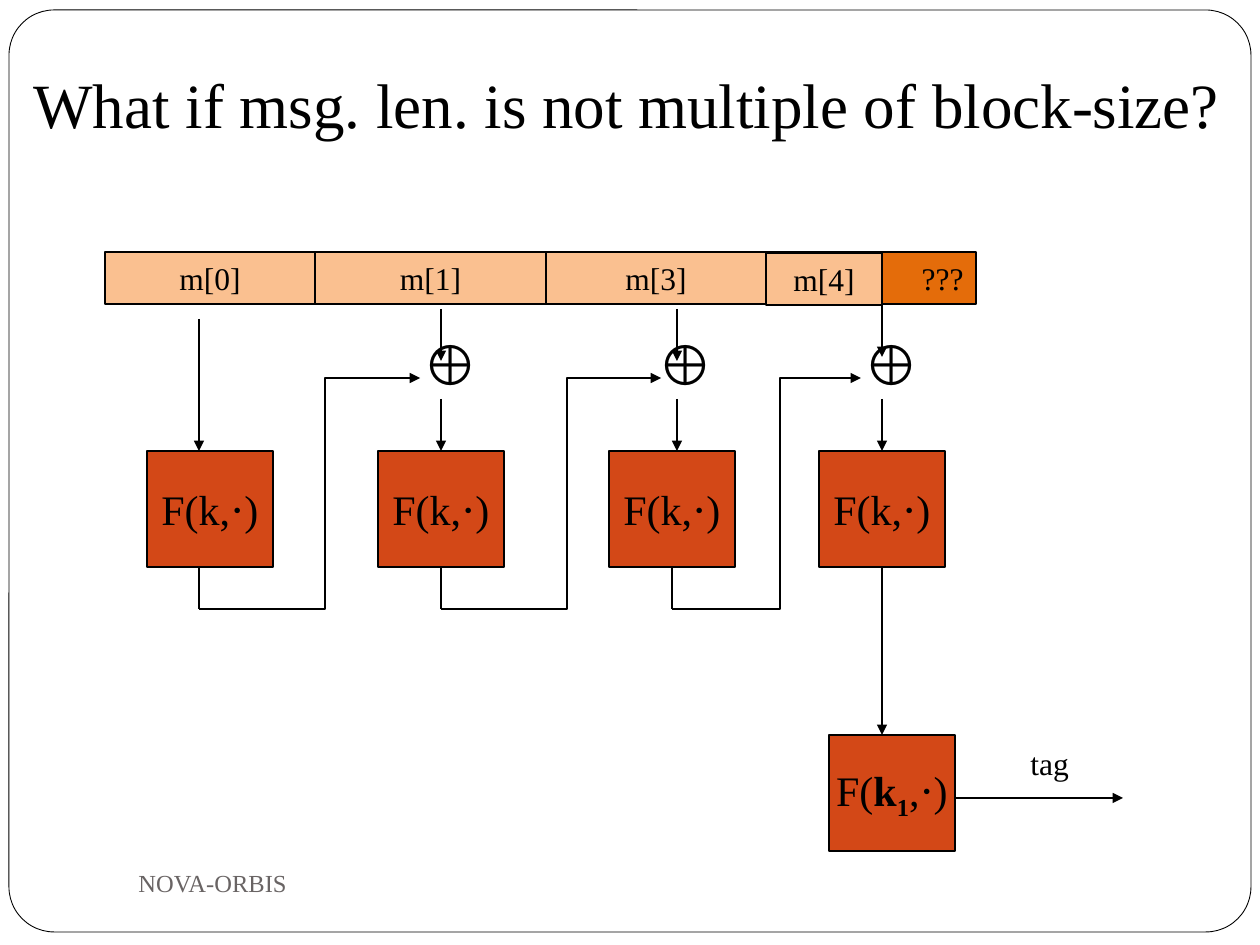
"""Build the slide on chained block encryption with a partial last block."""
from lxml import etree
from pptx import Presentation
from pptx import util as u
from pptx.dml.color import RGBColor
from pptx.enum import shapes, text
from pptx.oxml.ns import qn

PX = 914400 / 126
C = {"ink": "000000", "paper": "FFFFFF", "cipher": "D34817",
     "block": "FAC090", "pad": "E46C0A", "footer": "696464"}
LEFT, CENTER, RIGHT = text.PP_ALIGN.LEFT, text.PP_ALIGN.CENTER, text.PP_ALIGN.RIGHT
TOP, MIDDLE = text.MSO_ANCHOR.TOP, text.MSO_ANCHOR.MIDDLE


def write(sp, parts, size, align=LEFT, anchor=TOP, color="ink", wrap=False):
    tf = sp.text_frame
    tf.word_wrap = wrap
    tf.auto_size = text.MSO_AUTO_SIZE.NONE
    tf.vertical_anchor = anchor
    p = tf.paragraphs[0]
    p.alignment = align
    for part in parts:
        r = p.add_run()
        r.text = part
        r.font.name = "Times New Roman"
        r.font.size = u.Pt(size)
        r.font.color.rgb = RGBColor.from_string(C[color])
    return p.runs


def stroke(sp, width=0.75, arrow=False):
    sp.line.color.rgb = RGBColor.from_string(C["ink"])
    sp.line.width = u.Pt(width)
    pr = sp._element.spPr
    if arrow:
        etree.SubElement(pr.find(qn("a:ln")), qn("a:tailEnd"), type="triangle")
    if pr.find(qn("a:effectLst")) is None:
        etree.SubElement(pr, qn("a:effectLst"))


prs = Presentation()
prs.slide_width, prs.slide_height = u.Inches(10), u.Inches(7.5)
s = prs.slides.add_slide(prs.slide_layouts[5])

frame = s.shapes.add_shape(shapes.MSO_SHAPE.ROUNDED_RECTANGLE,
                           *[round(v * PX) for v in (9, 10, 1242, 922)])
frame.adjustments[0] = 0.049
frame.fill.solid()
frame.fill.fore_color.rgb = RGBColor.from_string(C["paper"])
stroke(frame, 0.5)
s.shapes._spTree.insert(2, frame._element)

title = s.shapes.title
title.left, title.top, title.width, title.height = [
    round(v * PX) for v in (21, -4, 1229, 158)]
write(title, ["What if msg. len. is not multiple of block-size?"], 36,
      anchor=text.MSO_ANCHOR.BOTTOM, wrap=True)
title.text_frame.margin_bottom = u.Inches(0.1)

boxes = [
    (105, 252, 210, 52, "block", ["m[0]"], 18, CENTER),
    (315, 252, 231, 52, "block", ["m[1]"], 18, CENTER),
    (546, 252, 220, 52, "block", ["m[3]"], 18, CENTER),
    (766, 252, 210, 52, "pad", ["???"], 18, RIGHT),
    (766, 253, 116, 52, "block", ["m[4]"], 18, CENTER),
    (829, 735, 126, 116, "cipher", ["F(", "k", "1", ",⋅)"], 24, CENTER),
]
boxes += [(x, 451, 126, 116, "cipher", ["F(k,⋅)"], 24, CENTER)
          for x in (147, 378, 609, 819)]
for x, y, w, h, fill, parts, size, align in boxes:
    sp = s.shapes.add_shape(shapes.MSO_SHAPE.RECTANGLE,
                            *[round(v * PX) for v in (x, y, w, h)])
    sp.fill.solid()
    sp.fill.fore_color.rgb = RGBColor.from_string(C[fill])
    stroke(sp)
    runs = write(sp, parts, size, align, MIDDLE)
    if len(runs) > 1:
        runs[1].font.bold = runs[2].font.bold = True
        runs[2].font._element.set("baseline", "-25000")

labels = [(x, 323, 69, 81, "⊕", 32, TOP, "ink", False) for x in (410, 645, 851)]
labels += [(1018, 738, 69, 50, "tag", 18, TOP, "ink", False),
           (126, 851, 546, 63, "NOVA-ORBIS", 14, MIDDLE, "footer", True)]
for x, y, w, h, label, size, anchor, color, wrap in labels:
    sp = s.shapes.add_textbox(*[round(v * PX) for v in (x, y, w, h)])
    write(sp, [label], size, LEFT, anchor, color, wrap)

lines = [(199, 319, 199, 451, True), (882, 567, 882, 735, True),
         (955, 798, 1123, 798, True)]
for x, y in ((441, 309), (677, 309), (882, 305)):
    lines += [(x, y, x, y + 52, True), (x, 399, x, 451, True)]
lines += [(x, 567, x, 609, False) for x in (199, 441, 672)]
for x1, y1, x2, y2, arrow in lines:
    line = s.shapes.add_connector(shapes.MSO_CONNECTOR.STRAIGHT,
                                  *[round(v * PX) for v in (x1, y1, x2, y2)])
    stroke(line, arrow=arrow)

for start, turn, end in ((199, 325, 420), (441, 567, 661), (672, 780, 861)):
    fb = s.shapes.build_freeform(start, 609, scale=PX)
    fb.add_line_segments([(turn, 609), (turn, 378), (end, 378)], close=False)
    sp = fb.convert_to_shape()
    sp.fill.background()
    stroke(sp, arrow=True)

prs.save("out.pptx")
